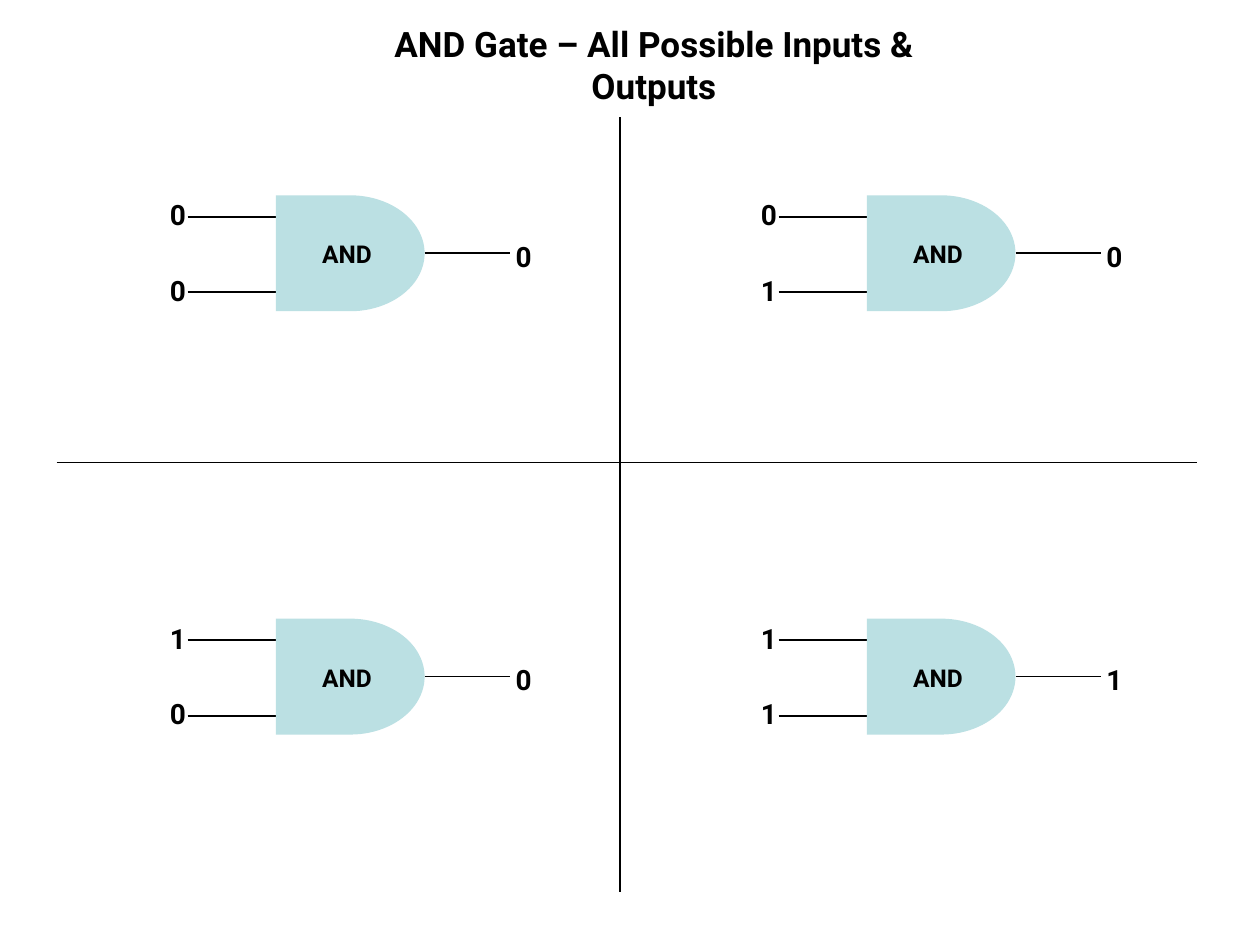
from dataclasses import dataclass

from lxml.etree import SubElement
from pptx import Presentation
from pptx.dml.color import RGBColor
from pptx.enum.shapes import MSO_CONNECTOR, MSO_SHAPE
from pptx.enum.text import MSO_ANCHOR, MSO_AUTO_SIZE, PP_ALIGN
from pptx.oxml.ns import qn
from pptx.util import Inches, Pt


@dataclass(frozen=True)
class Theme:
    font: str = "Roboto"
    ink: RGBColor = RGBColor(0x00, 0x00, 0x00)
    gate: RGBColor = RGBColor(0xBB, 0xE0, 0xE3)
    title_size: int = 20
    value_size: int = 16
    gate_size: int = 14
    line_width: int = 1


THEME = Theme()
TITLE = "AND Gate – All Possible Inputs & Outputs"
GATE_NAME = "AND"
TRUTH_TABLE = [("0", "0", "0"), ("0", "1", "0"), ("1", "0", "0"), ("1", "1", "1")]
DIVIDERS = [((0.45, 3.67), (9.5, 3.67)), ((4.92, 0.93), (4.92, 7.08))]

COLUMNS = 2
FIRST_GATE = (2.19, 1.55)
GATE_STEP = (4.69, 3.36)
GATE_SIZE = (1.18, 0.92)
INPUTS = [(0.17, 0.06), (0.77, 0.1)]


def write_text(shape, text, size, autosize=MSO_AUTO_SIZE.NONE):
    frame = shape.text_frame
    frame.word_wrap = True
    frame.auto_size = autosize
    frame.vertical_anchor = MSO_ANCHOR.TOP
    paragraph = frame.paragraphs[0]
    paragraph.alignment = PP_ALIGN.CENTER
    run = paragraph.add_run()
    run.text = text
    run.font.name = THEME.font
    run.font.size = Pt(size)
    run.font.bold = True
    run.font.color.rgb = THEME.ink


def add_label(shapes, text, left, top, width, height, **text_format):
    box = shapes.add_textbox(Inches(left), Inches(top), Inches(width), Inches(height))
    write_text(box, text, **text_format)


def add_line(shapes, start, end):
    points = [Inches(value) for value in (*start, *end)]
    line = shapes.add_connector(MSO_CONNECTOR.STRAIGHT, *points)
    line.line.color.rgb = THEME.ink
    line.line.width = Pt(THEME.line_width)
    SubElement(line._element.spPr, qn("a:effectLst"))
    return line


def add_gate(slide, left, top, inputs, output):
    shapes = slide.shapes.add_group_shape().shapes
    width, height = GATE_SIZE
    for value, (drop, overlap) in zip(inputs, INPUTS):
        wire_y = top + drop
        add_line(shapes, (left - 0.7, wire_y), (left + overlap, wire_y))
        add_label(shapes, value, left - 0.94, wire_y - 0.2, 0.23, 0.29,
                  size=THEME.value_size)

    gate = shapes.add_shape(MSO_SHAPE.FLOWCHART_DELAY, Inches(left), Inches(top),
                            Inches(width), Inches(height))
    gate.shadow.inherit = False
    gate.fill.solid()
    gate.fill.fore_color.rgb = THEME.gate
    gate.line.fill.background()
    add_label(shapes, GATE_NAME, left + 0.1, top + 0.3, 0.93, 0.34,
              size=THEME.gate_size, autosize=MSO_AUTO_SIZE.SHAPE_TO_FIT_TEXT)

    middle = top + height / 2
    wire = add_line(shapes, (left + width, middle), (left + 1.86, middle))
    wire.begin_connect(gate, 3)
    add_label(shapes, output, left + 1.78, top + 0.3, 0.37, 0.33,
              size=THEME.value_size)


def main():
    presentation = Presentation()
    presentation.slide_width = Inches(10)
    presentation.slide_height = Inches(7.5)
    slide = presentation.slides.add_slide(presentation.slide_layouts[5])

    title = slide.shapes.title
    title.left, title.top = Inches(2.54), Inches(0.13)
    title.width, title.height = Inches(5.3), Inches(0.44)
    write_text(title, TITLE, size=THEME.title_size,
               autosize=MSO_AUTO_SIZE.SHAPE_TO_FIT_TEXT)

    for start, end in DIVIDERS:
        add_line(slide.shapes, start, end)

    for index, (*inputs, output) in enumerate(TRUTH_TABLE):
        row, column = divmod(index, COLUMNS)
        left = FIRST_GATE[0] + column * GATE_STEP[0]
        top = FIRST_GATE[1] + row * GATE_STEP[1]
        add_gate(slide, left, top, inputs, output)

    presentation.save("out.pptx")


if __name__ == "__main__":
    main()
